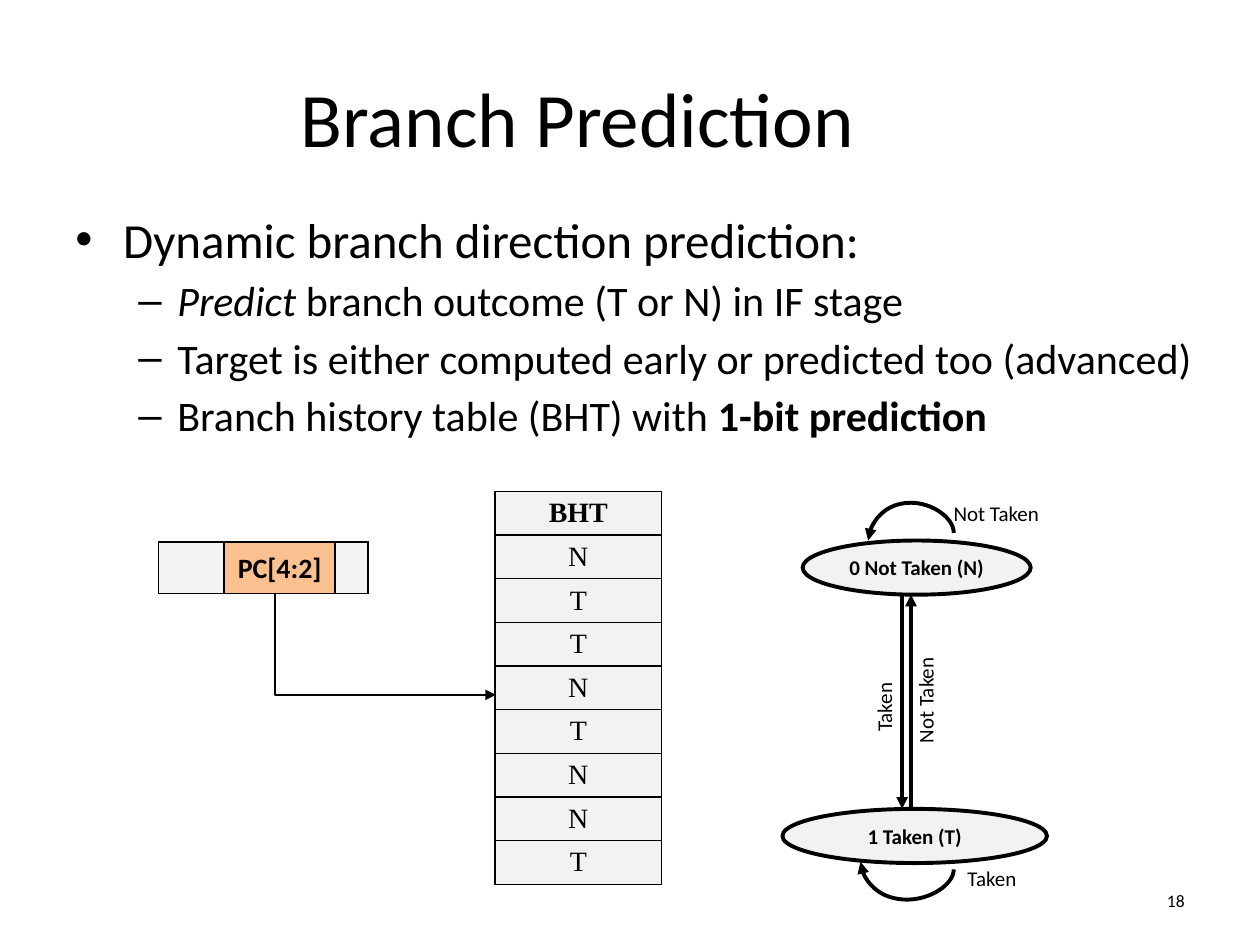
from lxml import etree
from pptx import Presentation, util as u
from pptx.dml.color import RGBColor
from pptx.enum import shapes, text
from pptx.oxml.ns import qn

SCALE = 9144  # EMU per px, 100 px to the inch
INK = {"black": "000000", "gray": "F2F2F2", "orange": "FAC090"}
MID = text.MSO_ANCHOR.MIDDLE
TOP = text.MSO_ANCHOR.TOP
LEFT, CENTER, RIGHT = text.PP_ALIGN.LEFT, text.PP_ALIGN.CENTER, text.PP_ALIGN.RIGHT


def px(*nums):
    return [u.Emu(round(n * SCALE)) for n in nums]


def hue(name):
    return RGBColor.from_string(INK[name])


def sub(node, tag, **attrs):
    return etree.SubElement(node, qn(tag), attrs)


def add_run(para, words, size, bold=False, italic=False, face="Calibri"):
    run = para.add_run()
    run.text = words
    font = run.font
    font.name, font.size = face, u.Pt(size)
    font.bold, font.italic = bold, italic
    font.color.rgb = hue("black")


def add_label(slide, box, words, size=12, bold=False, align=LEFT, anchor=TOP, turn=0):
    label = slide.shapes.add_textbox(*px(*box))
    label.rotation = turn
    frame = label.text_frame
    frame.word_wrap = True
    frame.vertical_anchor = anchor
    para = frame.paragraphs[0]
    para.alignment = align
    add_run(para, words, size, bold)
    return para


def add_title(slide, box, words):
    title = slide.shapes.title
    title.left, title.top, title.width, title.height = px(*box)
    frame = title.text_frame
    frame.vertical_anchor = MID
    para = frame.paragraphs[0]
    para.alignment = CENTER
    add_run(para, words, 44)


def add_list(slide, box, items):
    """Items are (level, runs); runs are (words, bold, italic)."""
    looks = [("•", 38, 38, 28), ("–", 81, 31, 24)]
    frame = slide.shapes.add_textbox(*px(*box)).text_frame
    frame.word_wrap = True
    for i, (level, runs) in enumerate(items):
        para = frame.add_paragraph() if i else frame.paragraphs[0]
        mark, left, hang, size = looks[level]
        para.level = level
        if i:
            para.space_before = u.Pt(4)
        props = para._p.get_or_add_pPr()
        props.set("marL", str(left * SCALE))
        props.set("indent", str(-hang * SCALE))
        sub(props, "a:buFont", typeface="Arial")
        sub(props, "a:buChar", char=mark)
        for words, bold, italic in runs:
            add_run(para, words, size, bold, italic)


def style_cell(cell, fill):
    cell.margin_top = cell.margin_bottom = px(3)[0]
    cell.vertical_anchor = MID
    props = cell._tc.get_or_add_tcPr()
    for side in "LRTB":
        edge = sub(props, f"a:ln{side}", w=str(u.Pt(1)))
        sub(sub(edge, "a:solidFill"), "a:srgbClr", val=INK["black"])
    cell.fill.solid()
    cell.fill.fore_color.rgb = hue(fill)


def add_grid(slide, spot, cols, rows, high, fills):
    box = px(*spot, sum(cols), high)
    table = slide.shapes.add_table(rows, len(cols), *box).table
    table.first_row = table.horz_banding = False
    for col, wide in zip(table.columns, cols):
        col.width = px(wide)[0]
    for row in table.rows:
        row.height = px(high / rows)[0]
        for cell, fill in zip(row.cells, fills):
            style_cell(cell, fill)
    return table


def add_history(slide):
    marks = ["BHT", *"NTTNTNNT"]
    table = add_grid(slide, (393, 390), [132], len(marks), 312, ["gray"])
    for i, mark in enumerate(marks):
        para = table.cell(i, 0).text_frame.paragraphs[0]
        para.alignment = CENTER
        add_run(para, mark, 16, bold=i == 0, face="Times New Roman")


def add_state(slide, box, words):
    oval = slide.shapes.add_shape(shapes.MSO_SHAPE.OVAL, *px(*box))
    oval.shadow.inherit = False
    oval.fill.solid()
    oval.fill.fore_color.rgb = hue("gray")
    oval.line.color.rgb = hue("black")
    oval.line.width = u.Pt(2.25)
    frame = oval.text_frame
    frame.word_wrap = False
    frame.vertical_anchor = MID
    para = frame.paragraphs[0]
    para.alignment = CENTER
    add_run(para, words, 12, bold=True)


def add_arrow(slide, start, end, kind=shapes.MSO_CONNECTOR.STRAIGHT, width=2.25):
    arrow = slide.shapes.add_connector(kind, *px(*start, *end))
    arrow.line.color.rgb = hue("black")
    arrow.line.width = u.Pt(width)
    sub(arrow.line._get_or_add_ln(), "a:tailEnd", type="triangle")
    sub(arrow._element.spPr, "a:effectLst")
    return arrow


def add_bend(slide, box, turn, flips, preset, adjust=None, width=2.25):
    """Box is the frame before it is flipped and turned."""
    left, top, wide, high = box
    kind = shapes.MSO_CONNECTOR.ELBOW
    arrow = add_arrow(slide, (left, top), (left + wide, top + high), kind, width)
    props = arrow._element.spPr
    frame = props.find(qn("a:xfrm"))
    frame.set("rot", str(turn * 60000))
    for flip in flips:
        frame.set("flip" + flip, "1")
    shape = props.find(qn("a:prstGeom"))
    shape.set("prst", preset)
    if adjust:
        sub(shape.find(qn("a:avLst")), "a:gd", name="adj1", fmla=f"val {adjust}")


def main():
    deck = Presentation()
    deck.slide_width, deck.slide_height = px(1000, 750)
    slide = deck.slides.add_slide(deck.slide_layouts[5])

    add_title(slide, (50, 30, 817, 125), "Branch Prediction")
    add_list(slide, (50, 161, 950, 200), [
        (0, [("Dynamic branch direction prediction:", False, False)]),
        (1, [("Predict", False, True),
             (" branch outcome (T or N) in IF stage", False, False)]),
        (1, [("Target is either computed early or predicted too (advanced)",
              False, False)]),
        (1, [("Branch history table (BHT) with ", False, False),
             ("1-bit prediction", True, False)]),
    ])
    add_label(slide, (833, 695, 117, 40), "18", 10, align=RIGHT, anchor=MID)

    add_history(slide)
    add_bend(slide, (261, 419, 90, 175), 270, "H", "bentConnector2", width=1)
    add_grid(slide, (126, 430), [52, 88, 26], 1, 41, ["gray", "orange", "gray"])
    field = add_label(slide, (126, 433, 192, 40), "PC[4:2]", 16, True, CENTER, MID)
    field.line_spacing = 0.8

    add_state(slide, (637, 429, 181, 43), "0 Not Taken (N)")
    add_state(slide, (621, 642, 210, 43), "1 Taken (T)")
    add_arrow(slide, (723, 642), (723, 472))
    add_arrow(slide, (716, 472), (716, 642))
    add_bend(slide, (717, 650, 6, 74), 90, "H", "curvedConnector3", -400800)
    add_bend(slide, (720, 392, 6, 68), 270, "HV", "curvedConnector3", -400800)
    add_label(slide, (631, 505, 141, 30), "Taken", turn=270)
    add_label(slide, (664, 514, 141, 30), "Not Taken", turn=270)
    add_label(slide, (758, 682, 141, 30), "Taken")
    add_label(slide, (747, 392, 182, 30), "Not Taken")

    deck.save("out.pptx")


if __name__ == "__main__":
    main()
